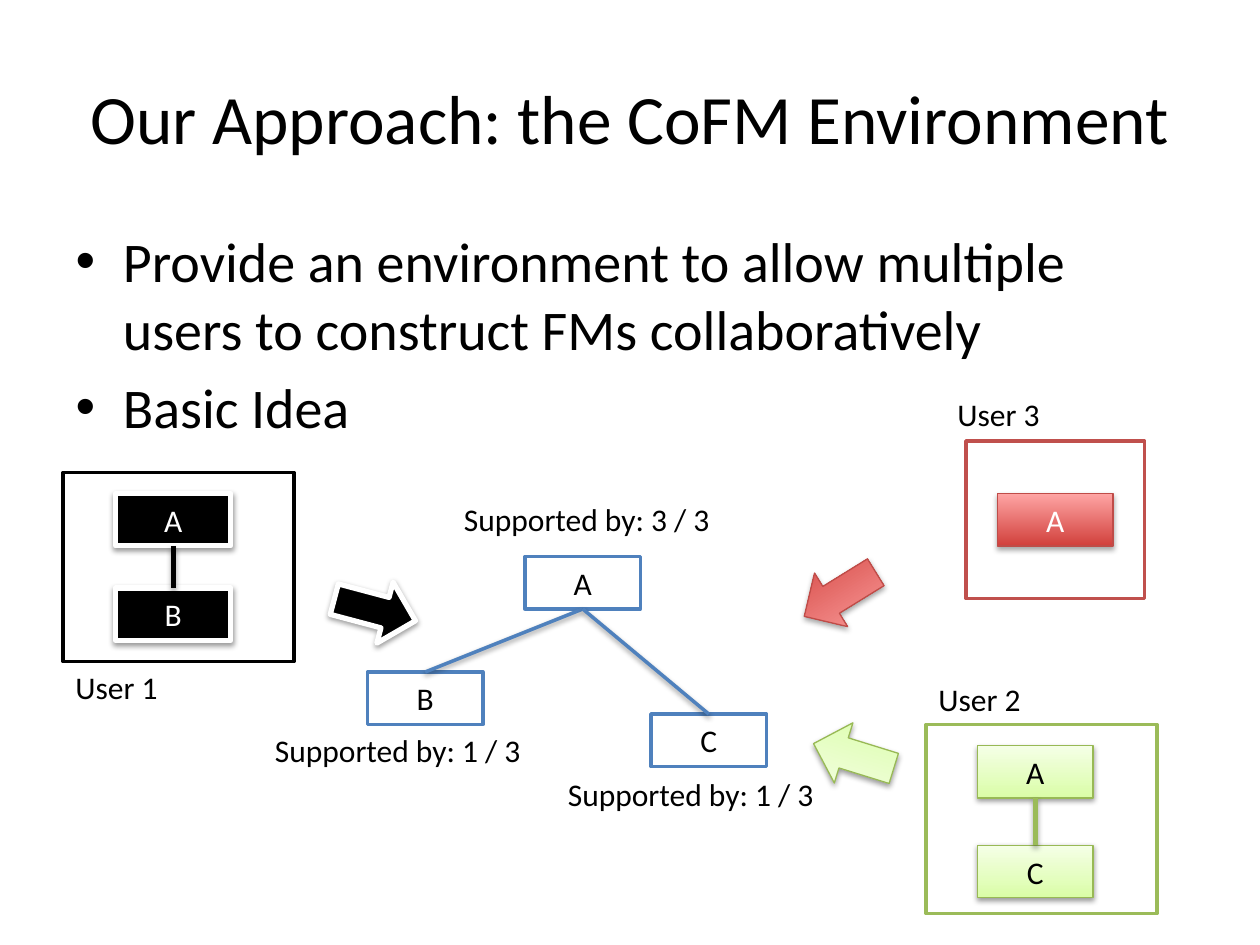
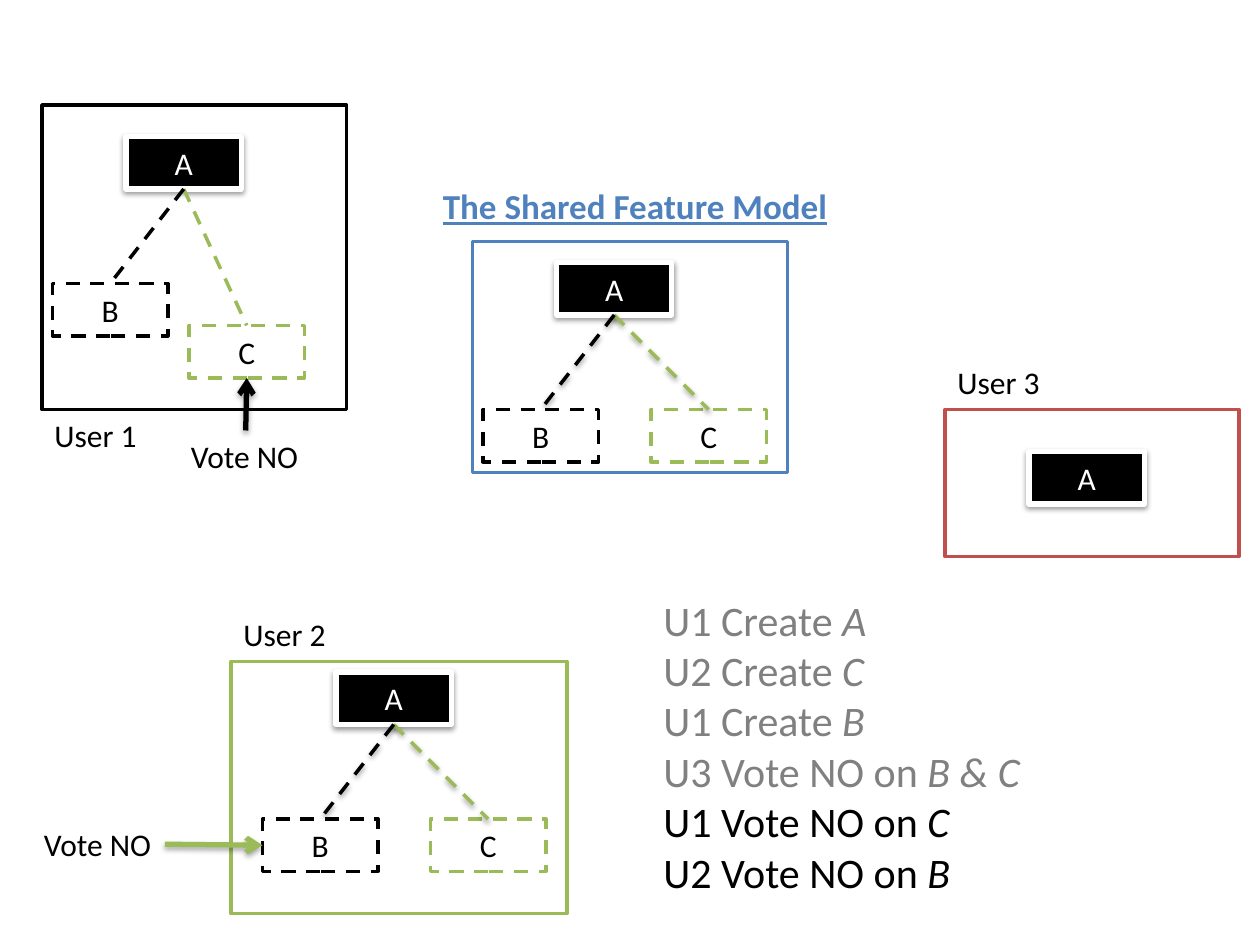
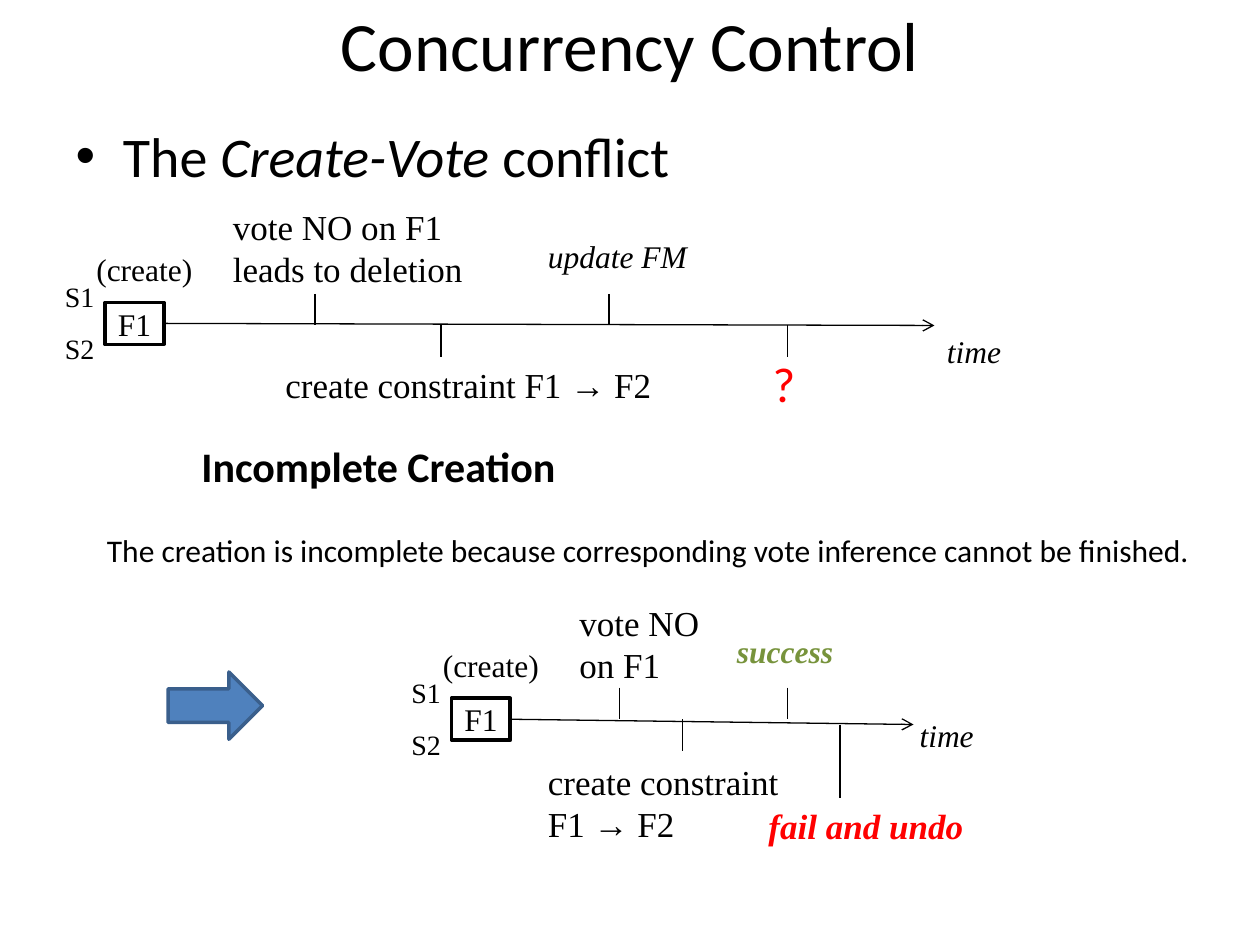
from collections import namedtuple

from pptx import Presentation
from pptx.dml.color import RGBColor
from pptx.enum.dml import MSO_LINE
from pptx.enum.shapes import MSO_CONNECTOR, MSO_SHAPE
from pptx.enum.text import MSO_ANCHOR, MSO_AUTO_SIZE, PP_ALIGN
from pptx.oxml import parse_xml
from pptx.oxml.ns import nsdecls
from pptx.util import Inches, Pt

RECTANGLE, ARROW = MSO_SHAPE.RECTANGLE, MSO_SHAPE.RIGHT_ARROW
STRAIGHT, DASH = MSO_CONNECTOR.STRAIGHT, MSO_LINE.DASH
CENTER, MIDDLE = PP_ALIGN.CENTER, MSO_ANCHOR.MIDDLE
FIXED, GROW = MSO_AUTO_SIZE.NONE, MSO_AUTO_SIZE.SHAPE_TO_FIT_TEXT
TOP, BOTTOM, LEFT, RIGHT = 0, 2, 1, 3
TITLE_AND_CONTENT, BLANK = 1, 6

# The slide is a grid of 120 columns and 90 rows of square cells.
CELL = Inches(10) // 120
FEATURE = (11, 5)
SANS, SERIF = "Calibri", "Times New Roman"
BLACK, WHITE, BLUE, GREEN, RED = "000000", "FFFFFF", "4F81BD", "9BBB59", "C0504D"
GREY, ALERT, SUCCESS = "808080", "FF0000", "77933C"
color = RGBColor.from_string

SHADOW = (
    '<a:outerShdw blurRad="40000" dist="{}" dir="5400000" rotWithShape="0">'
    '<a:srgbClr val="000000"><a:alpha val="{}"/></a:srgbClr></a:outerShdw>'
)
SOFT, STRONG = SHADOW.format(20000, 38000), SHADOW.format(23000, 35000)
EFFECTS = f"<a:effectLst {nsdecls('a')}>%s</a:effectLst>"
ARROWHEAD = f'<a:tailEnd {nsdecls("a")} type="arrow"/>'

Style = namedtuple("Style", "fill line width text shadow dash", defaults=(BLACK, "", None))
SOLID_BLACK = Style(BLACK, WHITE, 3, WHITE, SOFT)
SHADED_RED = Style(("D1403C", "FFA6A5"), "BF4C48", 0.75, WHITE, STRONG)
SHADED_GREEN = Style(("DAFDA7", "F5FFE7"), "98B955", 0.75, BLACK, SOFT)
BLACK_FRAME, BLUE_FRAME, GREEN_FRAME, RED_FRAME = (
    Style(WHITE, line, 2) for line in (BLACK, BLUE, GREEN, RED)
)
DASHED_BLACK, DASHED_GREEN = (frame._replace(dash=DASH) for frame in (BLACK_FRAME, GREEN_FRAME))
BLUE_ARROW = Style(BLUE, "3A5F8C", 2)


def add_box(slide, at, size, text="", style=None, kind=RECTANGLE,
            points=18, font=SANS, text_color=BLACK, lines=1, wrap=False):
    """Add a styled shape, or without a style a label whose height follows its lines."""
    width, height = size if style else (size, 0)
    frame = [round(value * CELL) for value in (*at, width, height)]
    if style:
        shape = slide.shapes.add_shape(kind, *frame)
        if isinstance(style.fill, tuple):
            shape.fill.gradient()
            shape.fill.gradient_angle = 90
            for stop, stop_color in zip(shape.fill.gradient_stops, style.fill):
                stop.color.rgb = color(stop_color)
        else:
            shape.fill.solid()
            shape.fill.fore_color.rgb = color(style.fill)
        shape.line.color.rgb = color(style.line)
        shape.line.width = Pt(style.width)
        if style.dash:
            shape.line.dash_style = style.dash
        shape._element.spPr.append(parse_xml(EFFECTS % style.shadow))
        shape.text_frame.vertical_anchor = MIDDLE
        text_color = style.text
    else:
        frame[3] = Pt(points * 1.2 * lines + 7.2)
        shape = slide.shapes.add_textbox(*frame)
        shape.text_frame.word_wrap = wrap
        shape.text_frame.auto_size = GROW
    paragraph = shape.text_frame.paragraphs[0]
    paragraph.text = text
    paragraph.alignment = CENTER if style else None
    paragraph.font.size = Pt(points)
    paragraph.font.name = font
    paragraph.font.color.rgb = color(text_color)
    return shape


def add_line(slide, start, end, line_color=BLACK, width=0.75, shadow="",
             dash=None, arrow=False, sides=(BOTTOM, TOP)):
    """Join two ends, each a grid point or a shape to attach to at the given side."""
    connector = slide.shapes.add_connector(STRAIGHT, 0, 0, 0, 0)
    if isinstance(start, tuple):
        connector.begin_x, connector.begin_y = (round(value * CELL) for value in start)
    else:
        connector.begin_connect(start, sides[0])
    if isinstance(end, tuple):
        connector.end_x, connector.end_y = (round(value * CELL) for value in end)
    else:
        connector.end_connect(end, sides[1])
    connector.line.color.rgb = color(line_color)
    connector.line.width = Pt(width)
    if dash:
        connector.line.dash_style = dash
    if arrow:
        connector.line._get_or_add_ln().append(parse_xml(ARROWHEAD))
    connector._element.spPr.append(parse_xml(EFFECTS % shadow))


presentation = Presentation()
presentation.slide_width, presentation.slide_height = 120 * CELL, 90 * CELL
approach, voting, concurrency = (
    presentation.slides.add_slide(presentation.slide_layouts[layout])
    for layout in (TITLE_AND_CONTENT, BLANK, TITLE_AND_CONTENT)
)

# Titles and lists: rows are (top, height); each list item is a row of (text, italic) runs.
for slide, title, title_rows, body_rows, items in (
    (approach, "Our Approach: the CoFM Environment", (3.6, 15), (21, 66), [
        [("Provide an environment to allow multiple users to construct FMs collaboratively", None)],
        [("Basic Idea", None)],
    ]),
    (concurrency, "Concurrency Control", (0, 8.4), (11, 8), [
        [("The ", None), ("Create-Vote ", True), ("conflict", None)],
    ]),
):
    body = slide.placeholders[1]
    for placeholder, (top, height) in ((slide.shapes.title, title_rows), (body, body_rows)):
        placeholder.left, placeholder.width = 6 * CELL, 108 * CELL
        placeholder.top, placeholder.height = round(top * CELL), round(height * CELL)
        placeholder.text_frame.auto_size = FIXED
    heading = slide.shapes.title.text_frame.paragraphs[0]
    heading.text = title
    heading.font.size = Pt(39.6)
    for index, runs in enumerate(items):
        paragraph = body.text_frame.add_paragraph() if index else body.text_frame.paragraphs[0]
        if index == 0:
            paragraph.space_before = Pt(0)
        for text, italic in runs:
            run = paragraph.add_run()
            run.text = text
            run.font.italic = italic
        paragraph.font.size = Pt(32)

# Slide 1: each user's model feeds the shared model in the middle.
for frame_at, frame_size, frame_style, style, line_color, features in (
    ((6, 45), (22, 18), BLACK_FRAME, SOLID_BLACK, BLACK, [("A", 11, 47), ("B", 11, 56)]),
    ((92, 42), (17, 15), RED_FRAME, SHADED_RED, RED, [("A", 95, 47)]),
    ((88.2, 69), (22, 18), GREEN_FRAME, SHADED_GREEN, GREEN, [("A", 93.1, 71), ("C", 93.1, 80.5)]),
):
    add_box(approach, frame_at, frame_size, style=frame_style)
    boxes = [add_box(approach, at, FEATURE, name, style) for name, *at in features]
    for parent, child in zip(boxes, boxes[1:]):
        add_line(approach, parent, child, line_color, 3, STRONG)

root, *children = [
    add_box(approach, at, FEATURE, name, BLUE_FRAME)
    for name, *at in (("A", 50, 53), ("B", 35, 64), ("C", 62, 68))
]
for child in children:
    add_line(approach, root, child, BLUE, 2, SOFT)

for at, rotation, style in (
    ((31.7, 55.1), 14.9, SOLID_BLACK),
    ((77.3, 69), 197.2, SHADED_GREEN),
    ((76, 53.6), 148.3, SHADED_RED),
):
    add_box(approach, at, (8, 6), style=style, kind=ARROW).rotation = rotation

for votes, *at in ((3, 43, 47), (1, 25, 69), (1, 52.9, 73.2)):
    add_box(approach, at, 26, f"Supported by: {votes} / 3")

# Slide 2: the shared model and what each user sees of it.
for at, size, style in (
    ((45, 23), (30, 22), BLUE_FRAME),
    ((4, 10), (29, 29), BLACK_FRAME),
    ((90, 39), (28, 14), RED_FRAME),
    ((22, 63), (32, 24), GREEN_FRAME),
):
    add_box(voting, at, size, style=style)

models = []
for a_at, b_at, c_at, shadow in (
    ((12, 13), (5, 27), (18, 31), ""),
    ((53, 25), (46, 39), (62, 39), SOFT),
    ((32, 64), (25, 78), (41, 78), SOFT),
):
    root = add_box(voting, a_at, FEATURE, "A", SOLID_BLACK)
    b_box = add_box(voting, b_at, FEATURE, "B", DASHED_BLACK)
    c_box = add_box(voting, c_at, FEATURE, "C", DASHED_GREEN)
    add_line(voting, root, c_box, GREEN, 2, shadow, DASH)
    add_line(voting, root, b_box, BLACK, 2, shadow, DASH)
    models.append((b_box, c_box))
add_box(voting, (98, 43), FEATURE, "A", SOLID_BLACK)

(_, user1_c), _, (user2_b, _) = models
add_line(voting, (23.4, 41), user1_c, BLACK, 3, STRONG, arrow=True, sides=(None, BOTTOM))
add_line(voting, (15.7, 80.4), user2_b, GREEN, 3, STRONG, arrow=True, sides=(None, LEFT))
for at in ((17, 41), (3, 78)):
    add_box(voting, at, 12.7, "Vote NO")

shared_title = add_box(voting, (41, 17), 39.4, "The Shared Feature Model", points=20, text_color=BLUE)
shared_title.text_frame.paragraphs[0].font.bold = True
shared_title.text_frame.paragraphs[0].font.underline = True

for slide, places in (
    (approach, ((6, 63), (88.2, 64.2), (90, 37))),
    (voting, ((4, 39), (22, 58), (90, 34))),
):
    for number, at in enumerate(places, start=1):
        add_box(slide, at, 10.3, f"User {number}")

history = add_box(voting, (62, 56), 36.6, points=24, lines=6, wrap=True).text_frame
for index, (action, features, text_color) in enumerate((
    ("U1 Create ", "A", GREY),
    ("U2 Create ", "C", GREY),
    ("U1 Create ", "B", GREY),
    ("U3 Vote NO on ", "B & C", GREY),
    ("U1 Vote NO on ", "C", BLACK),
    ("U2 Vote NO on ", "B", BLACK),
)):
    paragraph = history.add_paragraph() if index else history.paragraphs[0]
    for text, italic in ((action, None), (features, True)):
        run = paragraph.add_run()
        run.text = text
        run.font.italic = italic
    paragraph.font.size = Pt(24)
    paragraph.font.name = SANS
    paragraph.font.color.rgb = color(text_color)

# Slide 3: two timelines of the same form. Ticks are (column, top, bottom),
# events (text, column, row, width, lines), results (text, column, row, width, points, color, bold).
for left, top, axis_end, time_at, ticks, events, results in (
    (5, 19, (89, 31), (89, 31),
     [(30, 28, 31), (42, 31, 34), (58, 28, 31), (75, 31, 34)],
     [("vote NO on F1 leads to deletion", 21, 19, 25, 2),
      ("create constraint F1 → F2", 26, 34, 38, 1)],
     [("update FM", 51, 22, 20, 18, BLACK, None)]),
    (38, 56.7, (87, 69), (86.4, 67.6),
     [(59, 65.5, 68.5), (65, 68.5, 71.5), (75, 65.5, 68.5), (80, 69, 76)],
     [("vote NO on F1", 54, 56.7, 16, 2),
      ("create constraint F1 → F2", 51, 71.8, 28, 2)],
     [("success", 69, 59.6, 20, 18, SUCCESS, True),
      ("fail and undo", 72, 76, 22, 20, ALERT, True)]),
):
    feature = add_box(concurrency, (left + 5, top + 9.8), (5.6, 4), "F1", BLACK_FRAME, font=SERIF)
    add_line(concurrency, feature, axis_end, arrow=True, sides=(RIGHT, None))
    for column, tick_top, tick_bottom in ticks:
        add_line(concurrency, (column, tick_top), (column, tick_bottom))
    for text, column, row, width, points in (
        ("S1", 0, 7, 6, 16), ("S2", 0, 12, 6, 16), ("(create)", 3, 4.2, 12, 18),
    ):
        add_box(concurrency, (left + column, top + row), width, text,
                points=points, font=SERIF, wrap=True)
    for text, column, row, width, lines in events:
        add_box(concurrency, (column, row), width, text,
                points=20, font=SERIF, lines=lines, wrap=True)
    for text, column, row, width, points, text_color, bold in results:
        result = add_box(concurrency, (column, row), width, text, points=points,
                         font=SERIF, text_color=text_color, wrap=True)
        result.text_frame.paragraphs[0].font.italic = True
        result.text_frame.paragraphs[0].font.bold = bold
    time_label = add_box(concurrency, time_at, 7.7, "time", font=SERIF)
    time_label.text_frame.paragraphs[0].font.italic = True

add_box(concurrency, (72.4, 33.1), 4.6, "?", points=28, text_color=ALERT)
problem = add_box(concurrency, (18, 41.4), 36.5, "Incomplete Creation", points=24)
problem.text_frame.paragraphs[0].font.bold = True
add_box(concurrency, (9, 50), 105.7,
        "The creation is incomplete because corresponding vote inference cannot be finished.")
add_box(concurrency, (16, 64), (9, 6.4), style=BLUE_ARROW, kind=ARROW)

presentation.save("out.pptx")
